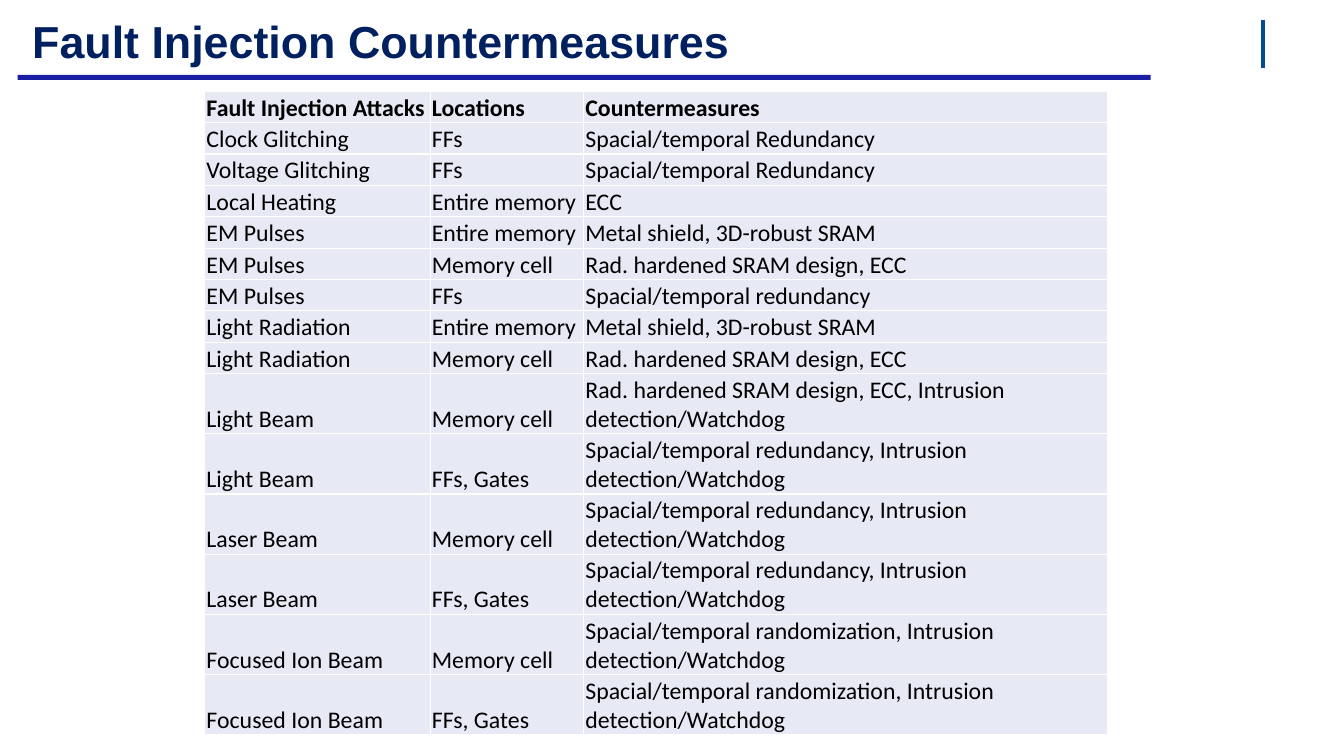
from dataclasses import dataclass

from lxml.etree import SubElement
from pptx import Presentation
from pptx.dml.color import RGBColor
from pptx.enum.shapes import MSO_CONNECTOR, MSO_SHAPE
from pptx.enum.text import MSO_ANCHOR, MSO_AUTO_SIZE, PP_ALIGN
from pptx.oxml.ns import qn
from pptx.util import Pt

TITLE = "Fault Injection Countermeasures"
HEADINGS = ("Fault Injection Attacks", "Locations", "Countermeasures")
SHIELD = "Metal shield, 3D-robust SRAM"
HARDENED = "Rad. hardened SRAM design, ECC"
WATCHDOG = ", Intrusion detection/Watchdog"
REDUNDANCY = "Spacial/temporal redundancy"
RANDOMIZATION = "Spacial/temporal randomization"
ATTACKS = [
    ("Clock Glitching", "FFs", "Spacial/temporal Redundancy"),
    ("Voltage Glitching", "FFs", "Spacial/temporal Redundancy"),
    ("Local Heating", "Entire memory", "ECC"),
    ("EM Pulses", "Entire memory", SHIELD),
    ("EM Pulses", "Memory cell", HARDENED),
    ("EM Pulses", "FFs", REDUNDANCY),
    ("Light Radiation", "Entire memory", SHIELD),
    ("Light Radiation", "Memory cell", HARDENED),
    ("Light Beam", "Memory cell", HARDENED + WATCHDOG),
    ("Light Beam", "FFs, Gates", REDUNDANCY + WATCHDOG),
    ("Laser Beam", "Memory cell", REDUNDANCY + WATCHDOG),
    ("Laser Beam", "FFs, Gates", REDUNDANCY + WATCHDOG),
    ("Focused Ion Beam", "Memory cell", RANDOMIZATION + WATCHDOG),
    ("Focused Ion Beam", "FFs, Gates", RANDOMIZATION + WATCHDOG),
]

TABLE_LEFT, TABLE_TOP = 146.3, 65.1
COLUMN_WIDTHS = (161, 109.7, 374.4)
ONE_LINE, TWO_LINES = 22.45, 43


@dataclass(frozen=True)
class Theme:
    title: RGBColor = RGBColor(0x00, 0x20, 0x60)
    rule: RGBColor = RGBColor(0x19, 0x1E, 0xA2)
    mark: RGBColor = RGBColor(0x02, 0x4C, 0x90)
    cell: RGBColor = RGBColor(0xE7, 0xEA, 0xF4)
    text: RGBColor = RGBColor(0x00, 0x00, 0x00)
    border: str = "FFFFFF"
    title_font: str = "Arial"
    table_font: str = "Calibri"
    title_size: int = 32
    table_size: int = 17


THEME = Theme()


def add_run(paragraph, text, font, size, color, bold):
    run = paragraph.add_run()
    run.text = text
    run.font.name = font
    run.font.size = Pt(size)
    run.font.color.rgb = color
    run.font.bold = bold


def add_title(slide):
    title = slide.shapes.title
    title.left, title.top, title.width, title.height = Pt(13), Pt(0.7), Pt(804), Pt(56)
    frame = title.text_frame
    frame.word_wrap = True
    frame.auto_size = MSO_AUTO_SIZE.NONE
    frame.vertical_anchor = MSO_ANCHOR.MIDDLE
    frame.margin_left = frame.margin_right = frame.margin_top = frame.margin_bottom = Pt(10)
    paragraph = frame.paragraphs[0]
    paragraph.alignment = PP_ALIGN.LEFT
    add_run(paragraph, TITLE, THEME.title_font, THEME.title_size, THEME.title, True)


def add_header_lines(slide):
    rule = slide.shapes.add_shape(MSO_SHAPE.RECTANGLE, Pt(12.5), Pt(53.5), Pt(809.5), Pt(3.6))
    rule.shadow.inherit = False
    rule.fill.solid()
    rule.fill.fore_color.rgb = THEME.rule
    rule.line.fill.background()
    mark = slide.shapes.add_connector(
        MSO_CONNECTOR.STRAIGHT, Pt(902.2), Pt(14.6), Pt(902.2), Pt(48.7))
    mark.line.color.rgb = THEME.mark
    mark.line.width = Pt(3)
    SubElement(mark._element.spPr, qn("a:effectLst"))


def add_borders(cell):
    """Put a thin line on each side, ahead of the cell's fill as the schema asks."""
    properties = cell._tc.get_or_add_tcPr()
    for position, side in enumerate(("a:lnL", "a:lnR", "a:lnT", "a:lnB")):
        line = SubElement(properties, qn(side), w=str(Pt(1)))
        fill = SubElement(line, qn("a:solidFill"))
        SubElement(fill, qn("a:srgbClr"), val=THEME.border)
        properties.insert(position, line)


def fill_cell(cell, text, bold):
    cell.fill.solid()
    cell.fill.fore_color.rgb = THEME.cell
    cell.vertical_anchor = MSO_ANCHOR.BOTTOM
    cell.margin_left = cell.margin_right = cell.margin_top = Pt(1.2)
    cell.margin_bottom = Pt(0)
    add_run(cell.text_frame.paragraphs[0], text,
            THEME.table_font, THEME.table_size, THEME.text, bold)
    add_borders(cell)


def add_countermeasures(slide):
    rows = [HEADINGS, *ATTACKS]
    heights = [TWO_LINES if row[-1].endswith(WATCHDOG) else ONE_LINE for row in rows]
    table = slide.shapes.add_table(
        len(rows), len(HEADINGS), Pt(TABLE_LEFT), Pt(TABLE_TOP),
        Pt(sum(COLUMN_WIDTHS)), Pt(sum(heights))).table
    table.horz_banding = False
    for column, width in zip(table.columns, COLUMN_WIDTHS):
        column.width = Pt(width)
    for index, (row, height) in enumerate(zip(rows, heights)):
        table.rows[index].height = Pt(height)
        for cell, text in zip(table.rows[index].cells, row):
            fill_cell(cell, text, bold=index == 0)


def main():
    deck = Presentation()
    deck.slide_width, deck.slide_height = Pt(960), Pt(540)
    slide = deck.slides.add_slide(deck.slide_layouts[5])
    add_header_lines(slide)
    add_title(slide)
    add_countermeasures(slide)
    deck.save("out.pptx")


if __name__ == "__main__":
    main()
